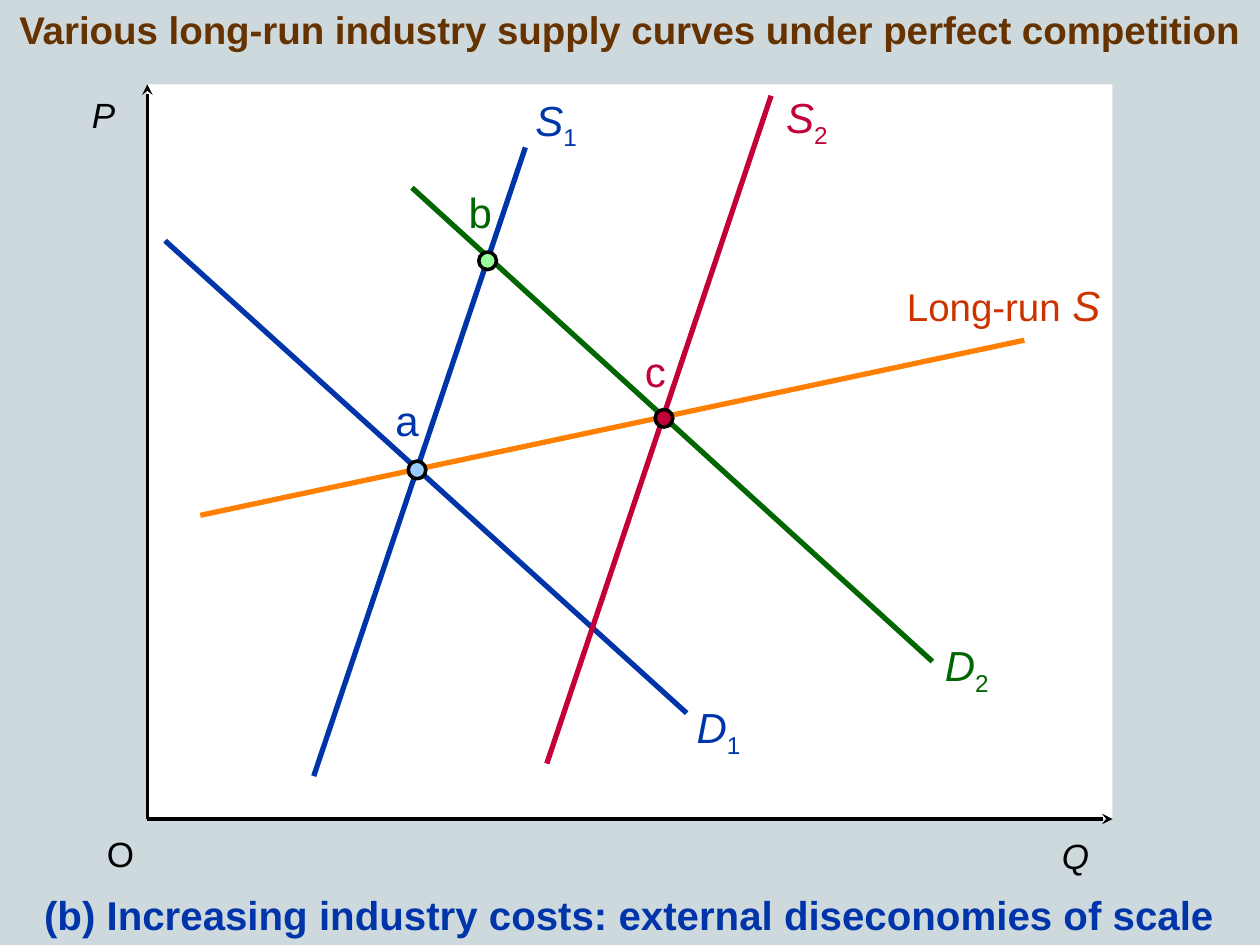
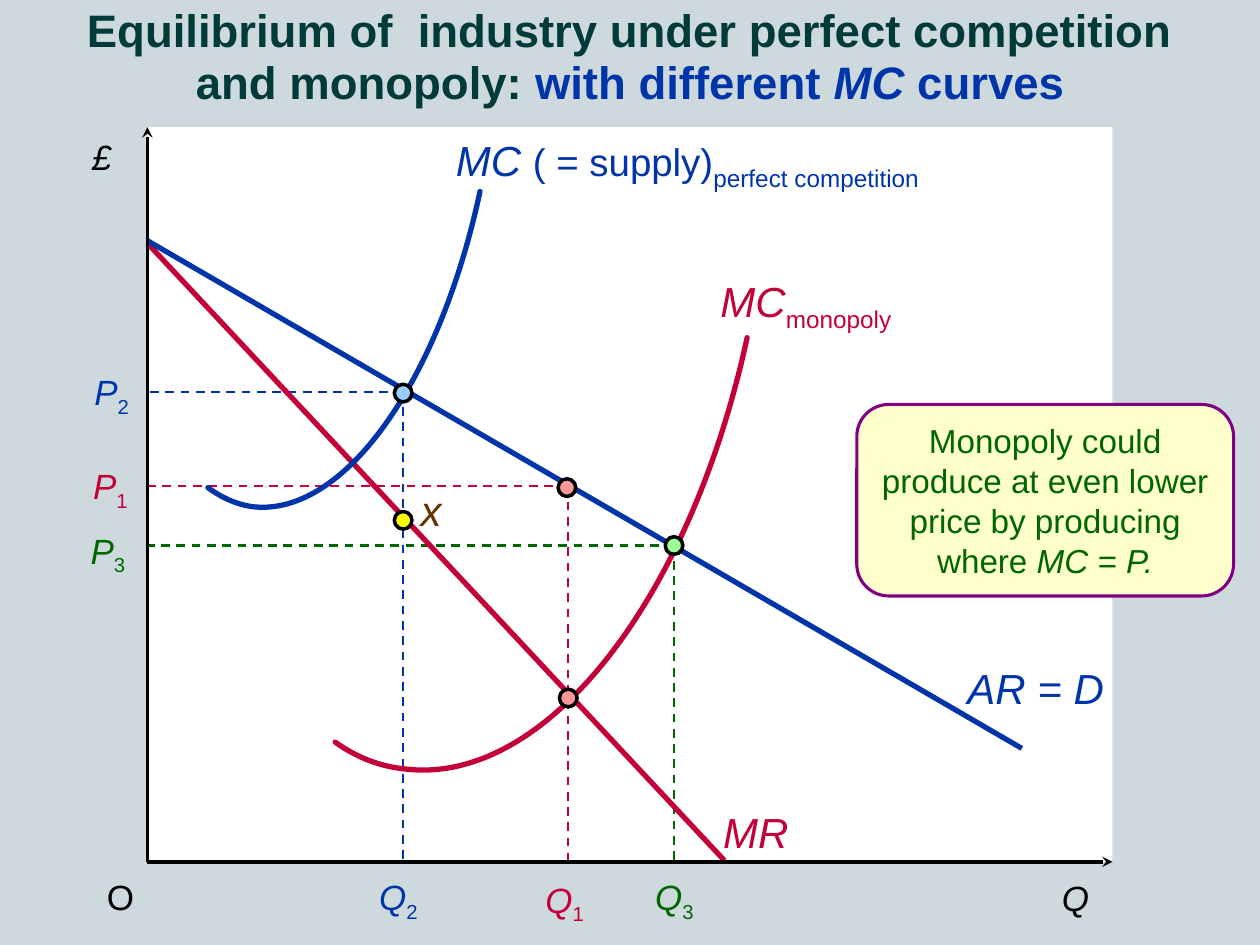
from lxml import etree
from pptx import Presentation
from pptx.dml.color import RGBColor
from pptx.enum.dml import MSO_LINE
from pptx.enum.shapes import MSO_CONNECTOR, MSO_SHAPE
from pptx.enum.text import MSO_ANCHOR, MSO_AUTO_SIZE, PP_ALIGN
from pptx.oxml.ns import qn
from pptx.util import Inches, Pt

STRAIGHT = MSO_CONNECTOR.STRAIGHT
OVAL = MSO_SHAPE.OVAL
RECTANGLE = MSO_SHAPE.RECTANGLE
ROUNDED = MSO_SHAPE.ROUNDED_RECTANGLE
DASH = MSO_LINE.DASH
CENTER = PP_ALIGN.CENTER
TOP, MIDDLE = MSO_ANCHOR.TOP, MSO_ANCHOR.MIDDLE
NO_FIT, GROW = MSO_AUTO_SIZE.NONE, MSO_AUTO_SIZE.SHAPE_TO_FIT_TEXT

FONT = "Arial"
BACKGROUND, WHITE, BLACK = "CED9DE", "FFFFFF", "000000"
BLUE, RED, GREEN, BROWN = "0035AA", "C40038", "006600", "663300"
ORANGE, RUST, TEAL = "FF8000", "CC3300", "003B3A"
SKY, MINT, PINK, YELLOW = "99CCFF", "99FF99", "FF9999", "FFFF00"
CREAM, PURPLE = "FFFFCC", "800080"

PLOT_LEFT, PLOT_RIGHT, PLOT_HEIGHT = 1.17, 8.83, 5.83
MARKER = 0.14

PLAIN, ITALIC, SUBSCRIPT = {}, {"italic": True}, {"subscript": True}


def write_runs(paragraph, runs, size, color, bold=False, shadow=False):
    """Add (text, style) runs; a style may override size, color and italic."""
    for text, style in runs:
        run_size = style.get("size", size)
        if text == "\n":
            paragraph.add_line_break()
            etree.SubElement(paragraph._p[-1], qn("a:rPr"), sz=str(run_size * 100))
            continue
        run = paragraph.add_run()
        run.text = text
        run.font.name = FONT
        run.font.size = Pt(run_size)
        run.font.bold = bold
        run.font.italic = style.get("italic", False)
        run.font.color.rgb = RGBColor.from_string(style.get("color", color))
        properties = run._r.get_or_add_rPr()
        if style.get("subscript"):
            properties.set("baseline", "-25000")
        if shadow:
            effects = etree.Element(qn("a:effectLst"))
            outer = etree.SubElement(effects, qn("a:outerShdw"), dist="25400",
                                     dir="2700000", algn="ctr", rotWithShape="0")
            etree.SubElement(outer, qn("a:srgbClr"), val=BLACK)
            properties.find(qn("a:solidFill")).addnext(effects)


def add_line(slide, start, end, color, width=3, dashed=False, arrow=False):
    connector = slide.shapes.add_connector(
        STRAIGHT, *(Inches(value) for value in (*start, *end)))
    connector.line.color.rgb = RGBColor.from_string(color)
    connector.line.width = Pt(width)
    if dashed:
        connector.line.dash_style = DASH
    properties = connector.element.spPr
    if arrow:
        etree.SubElement(properties.find(qn("a:ln")), qn("a:tailEnd"), type="stealth")
    etree.SubElement(properties, qn("a:effectLst"))


diagrams = [
    {
        "title": [("Various long-run industry supply curves under perfect competition", PLAIN)],
        "title_format": (22, BROWN, 0.47, 1.0),
        "plot_top": 0.67,
        "price_axis": "P",
        "guides": [],
        "lines": [
            ((1.59, 4.09), (8.13, 2.7), ORANGE),
            ((1.31, 1.91), (5.45, 5.66), BLUE),
            ((2.49, 6.16), (4.17, 1.17), BLUE),
            ((4.34, 6.06), (6.12, 0.76), RED),
            ((3.27, 1.49), (7.4, 5.25), GREEN),
        ],
        "curves": [],
        "markers": [(3.31, 3.73, SKY), (3.87, 2.07, MINT), (5.27, 3.32, RED)],
        "labels": [
            (7.1, 2.17, 1.83, 0.5, 24, RUST, [("Long-run", {"size": 22}), (" S", ITALIC)]),
            (4.15, 0.7, 0.53, 0.56, 24, BLUE, [("S", ITALIC), ("1", SUBSCRIPT)]),
            (5.43, 5.52, 0.55, 0.56, 24, BLUE, [("D", ITALIC), ("1", SUBSCRIPT)]),
            (6.14, 0.68, 0.53, 0.56, 24, RED, [("S", ITALIC), ("2", SUBSCRIPT)]),
            (7.4, 5.03, 0.55, 0.56, 24, GREEN, [("D", ITALIC), ("2", SUBSCRIPT)]),
            (3.04, 3.08, 0.39, 0.5, 24, BLUE, [("a", PLAIN)]),
            (3.62, 1.43, 0.39, 0.5, 24, GREEN, [("b", PLAIN)]),
            (5.02, 2.69, 0.37, 0.5, 24, RED, [("c", PLAIN)]),
        ],
    },
    {
        "title": [
            ("Equilibrium of  industry under perfect competition", PLAIN),
            ("\n", PLAIN),
            ("and monopoly: ", PLAIN),
            ("with different ", {"color": BLUE}),
            ("MC", {"color": BLUE, "italic": True}),
            (" curves", {"color": BLUE}),
        ],
        "title_format": (26, TEAL, 0.93, 0.95),
        "plot_top": 1.01,
        "price_axis": "£",
        "guides": [(3.2, 3.11, BLUE), (4.51, 3.86, RED), (5.35, 4.33, GREEN)],
        "lines": [
            ((1.17, 1.93), (5.75, 6.83), RED),
            ((1.17, 1.91), (8.11, 5.94), BLUE),
        ],
        "curves": [
            ([(5.93, 2.68), (5.47, 4.8), (4.3, 6.26), (3.19, 6.1),
              (3.01, 6.08), (2.83, 6.01), (2.66, 5.89)], RED),
            ([(3.81, 1.52), (3.48, 3.06), (2.71, 4.12), (1.99, 4.02),
              (1.87, 4), (1.76, 3.95), (1.65, 3.87)], BLUE),
        ],
        "markers": [(3.2, 3.12, SKY), (4.5, 3.87, PINK), (4.51, 5.54, PINK),
                    (3.2, 4.13, YELLOW), (5.35, 4.33, MINT)],
        "labels": [
            (3.52, 1.02, 3.88, 0.56, 24, BLUE,
             [("MC ", ITALIC), ("( = supply)", {"size": 22}),
              ("perfect competition", SUBSCRIPT)]),
            (5.62, 2.14, 1.56, 0.56, 24, RED, [("MC", ITALIC), ("monopoly", SUBSCRIPT)]),
            (7.58, 5.21, 1.29, 0.5, 24, BLUE, [("AR = D", ITALIC)]),
            (5.64, 6.35, 0.72, 0.5, 24, RED, [("MR", ITALIC)]),
            (3.24, 3.8, 0.37, 0.5, 24, BROWN, [("x", ITALIC)]),
            (0.64, 3.64, 0.48, 0.48, 20, RED, [("P", ITALIC), ("1", SUBSCRIPT)]),
            (0.65, 2.89, 0.48, 0.48, 20, BLUE, [("P", ITALIC), ("2", SUBSCRIPT)]),
            (0.62, 4.15, 0.48, 0.48, 20, GREEN, [("P", ITALIC), ("3", SUBSCRIPT)]),
            (4.23, 6.92, 0.51, 0.48, 20, RED, [("Q", ITALIC), ("1", SUBSCRIPT)]),
            (2.91, 6.9, 0.51, 0.48, 20, BLUE, [("Q", ITALIC), ("2", SUBSCRIPT)]),
            (5.1, 6.9, 0.51, 0.48, 20, GREEN, [("Q", ITALIC), ("3", SUBSCRIPT)]),
        ],
    },
]

presentation = Presentation()
presentation.slide_width = Inches(10)
presentation.slide_height = Inches(7.5)
master_fill = presentation.slide_master.background.fill
master_fill.solid()
master_fill.fore_color.rgb = RGBColor.from_string(BACKGROUND)
title_only = presentation.slide_layouts.get_by_name("Title Only")

for diagram in diagrams:
    slide = presentation.slides.add_slide(title_only)
    title_size, title_color, title_height, line_spacing = diagram["title_format"]
    title = slide.shapes.title
    title.left, title.top = Inches(0), Inches(0)
    title.width, title.height = Inches(10), Inches(title_height)
    title.text_frame.auto_size = NO_FIT
    title.text_frame.vertical_anchor = TOP
    paragraph = title.text_frame.paragraphs[0]
    paragraph.alignment = CENTER
    paragraph.line_spacing = line_spacing
    write_runs(paragraph, diagram["title"], title_size, title_color, bold=True, shadow=True)

    # Plot area, guides and curves
    plot_top = diagram["plot_top"]
    plot_bottom = plot_top + PLOT_HEIGHT
    plot = slide.shapes.add_shape(
        RECTANGLE, Inches(PLOT_LEFT), Inches(plot_top),
        Inches(PLOT_RIGHT - PLOT_LEFT), Inches(PLOT_HEIGHT))
    plot.shadow.inherit = False
    plot.fill.solid()
    plot.fill.fore_color.rgb = RGBColor.from_string(WHITE)
    plot.line.fill.background()

    for quantity, price, color in diagram["guides"]:
        for axis_point in ((PLOT_LEFT, price), (quantity, plot_bottom)):
            add_line(slide, (quantity, price), axis_point, color, 1.25, dashed=True)
    for start, end, color in diagram["lines"]:
        add_line(slide, start, end, color)

    for points, color in diagram["curves"]:
        (start_x, start_y), *controls = [(Inches(x), Inches(y)) for x, y in points]
        builder = slide.shapes.build_freeform(start_x, start_y)
        builder.add_line_segments(controls, close=False)
        curve = builder.convert_to_shape()
        curve.shadow.inherit = False
        curve.fill.background()
        curve.line.color.rgb = RGBColor.from_string(color)
        curve.line.width = Pt(3)
        curve.element.spPr.find(qn("a:ln")).set("cap", "rnd")
        # Every three straight segments become one Bézier segment
        segments = curve.element.findall(".//" + qn("a:lnTo"))
        for index in range(0, len(segments), 3):
            bezier = etree.Element(qn("a:cubicBezTo"))
            segments[index].addprevious(bezier)
            for segment in segments[index:index + 3]:
                bezier.append(segment[0])
                segment.getparent().remove(segment)

    # Axes, markers and labels
    origin = (PLOT_LEFT, plot_bottom)
    for axis_end in ((PLOT_LEFT, plot_top), (PLOT_RIGHT, plot_bottom)):
        add_line(slide, origin, axis_end, BLACK, 2, arrow=True)

    for x, y, color in diagram["markers"]:
        marker = slide.shapes.add_shape(
            OVAL, Inches(x - MARKER / 2), Inches(y - MARKER / 2),
            Inches(MARKER), Inches(MARKER))
        marker.shadow.inherit = False
        marker.fill.solid()
        marker.fill.fore_color.rgb = RGBColor.from_string(color)
        marker.line.color.rgb = RGBColor.from_string(BLACK)
        marker.line.width = Pt(2)

    axis_labels = [
        (0.63, plot_top + 0.02, 0.45, 0.43, 20, BLACK, [(diagram["price_axis"], ITALIC)]),
        (8.33, plot_bottom + 0.07, 0.5, 0.43, 20, BLACK, [("Q", ITALIC)]),
        (0.75, plot_bottom + 0.06, 0.42, 0.43, 20, BLACK, [("O", PLAIN)]),
    ]
    for left, top, width, height, size, color, runs in axis_labels + diagram["labels"]:
        label = slide.shapes.add_textbox(
            Inches(left), Inches(top), Inches(width), Inches(height))
        label.text_frame.word_wrap = False
        label.text_frame.auto_size = GROW
        write_runs(label.text_frame.paragraphs[0], runs, size, color)

supply_slide, monopoly_slide = presentation.slides

caption = supply_slide.shapes.add_textbox(Inches(0), Inches(7.02), Inches(10), Inches(0.49))
caption.text_frame.word_wrap = True
paragraph = caption.text_frame.paragraphs[0]
paragraph.alignment = CENTER
write_runs(paragraph,
           [("(b) Increasing industry costs: external diseconomies of scale", PLAIN)],
           23, BLUE, bold=True, shadow=True)

callout = monopoly_slide.shapes.add_shape(
    ROUNDED, Inches(6.8), Inches(3.21), Inches(2.99), Inches(1.52))
callout.shadow.inherit = False
callout.fill.solid()
callout.fill.fore_color.rgb = RGBColor.from_string(CREAM)
callout.line.color.rgb = RGBColor.from_string(PURPLE)
callout.line.width = Pt(1.75)
callout.text_frame.word_wrap = True
callout.text_frame.vertical_anchor = MIDDLE
paragraph = callout.text_frame.paragraphs[0]
paragraph.alignment = CENTER
write_runs(paragraph,
           [("Monopoly could produce at even lower price by producing where", PLAIN),
            (" MC = P.", ITALIC)],
           19, GREEN)

presentation.save("out.pptx")
